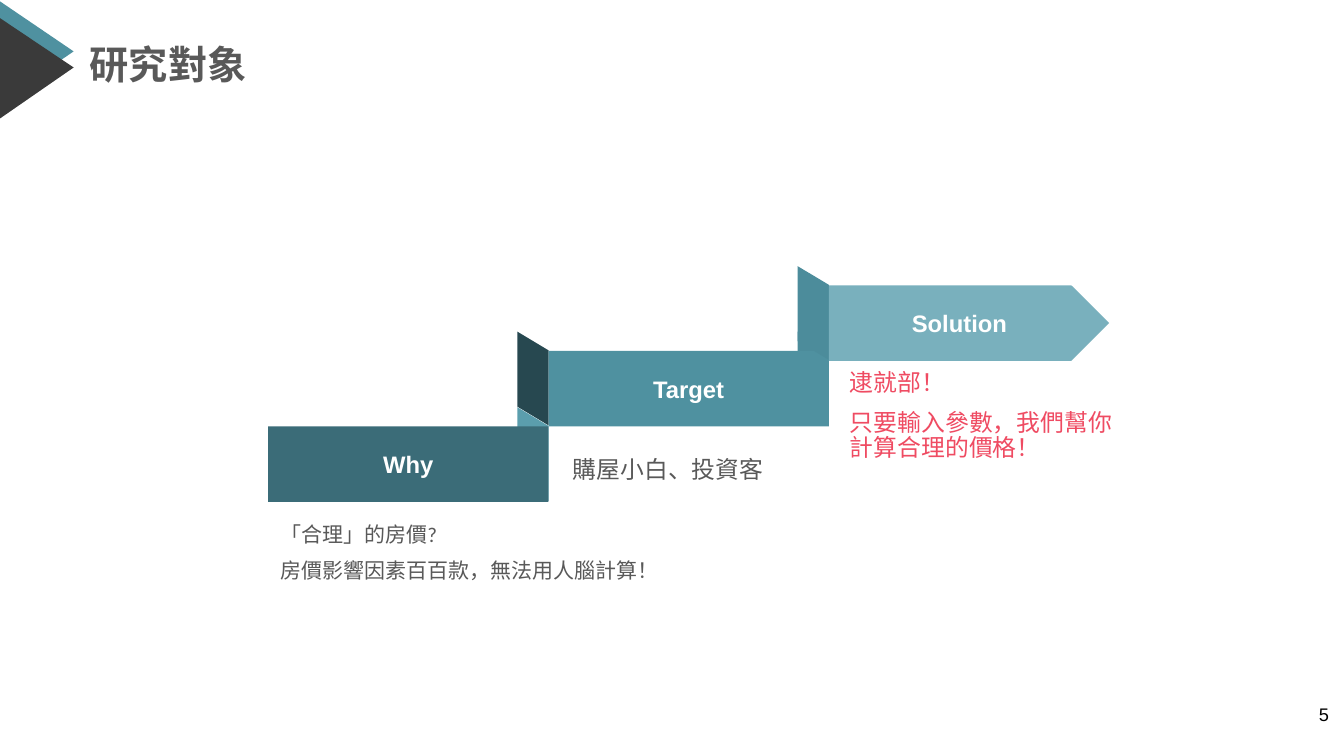
from dataclasses import dataclass

from pptx import Presentation
from pptx import util as u
from pptx.dml.color import RGBColor
from pptx.enum import shapes, text

PX = 9144


@dataclass(frozen=True)
class Theme:
    """Colours, fonts and type sizes of the slide."""
    teal: str = "4F91A0"
    charcoal: str = "3A3A3A"
    ink: str = "595959"
    alert: str = "EF4B62"
    white: str = "FFFFFF"
    black: str = "000000"
    why: str = "3B6C78"
    why_fold: str = "5B9EAD"
    target_front: str = "274850"
    target_fold: str = "4C8C9B"
    solution: str = "79B0BD"
    head_font: str = "Arial"
    body_font: str = "Calibri"
    title: int = 28
    label: int = 17
    note: int = 15
    number: int = 13


THEME = Theme()
RIBBON_W, RIBBON_H = 278, 75
FOLD_W, FOLD_H, FOLD_RISE = 31, 93, 19


def px(*values):
    """Turn pixel lengths into EMU."""
    return [u.Emu(v * PX) for v in values]


def paint(sp, color):
    """Give a shape a flat fill without line or shadow."""
    sp.shadow.inherit = False
    sp.fill.solid()
    sp.fill.fore_color.rgb = RGBColor.from_string(color)
    sp.line.fill.background()


def write(sp, *lines, size, color, font=THEME.head_font, bold=False,
          align=text.PP_ALIGN.LEFT, anchor=text.MSO_ANCHOR.TOP,
          spacing=1.0, before=0, insets=(10, 5)):
    """Write one paragraph per line into a shape."""
    tf = sp.text_frame
    tf.word_wrap = True
    tf.auto_size = text.MSO_AUTO_SIZE.NONE
    tf.vertical_anchor = anchor
    tf.margin_left = tf.margin_right = px(insets[0])[0]
    tf.margin_top = tf.margin_bottom = px(insets[1])[0]
    for i, line in enumerate(lines):
        p = tf.add_paragraph() if i else tf.paragraphs[0]
        p.alignment = align
        p.line_spacing = spacing
        p.space_before = u.Pt(before if i else 0)
        r = p.add_run()
        r.text = line
        r.font.name = font
        r.font.size = u.Pt(size)
        r.font.bold = bold
        r.font.color.rgb = RGBColor.from_string(color)


def add_corner(slide, points, color):
    """Draw one triangle of the corner ornament."""
    builder = slide.shapes.build_freeform(*points[0], scale=PX)
    builder.add_line_segments(points[1:], close=True)
    paint(builder.convert_to_shape(), color)


def add_fold(slide, right, ribbon_top, color):
    """Draw the upright fold whose right edge meets a ribbon end."""
    left = right - (FOLD_W + FOLD_H) / 2
    top = ribbon_top - FOLD_RISE + (FOLD_H - FOLD_W) / 2
    sp = slide.shapes.add_shape(shapes.MSO_SHAPE.FLOWCHART_DATA,
                                *px(int(left), int(top), FOLD_W * 3, FOLD_W))
    sp.rotation = 90
    paint(sp, color)


def add_ribbon(slide, label, left, top, color, kind=shapes.MSO_SHAPE.RECTANGLE):
    """Draw one labelled step of the ribbon."""
    sp = slide.shapes.add_shape(kind, *px(left, top, RIBBON_W, RIBBON_H))
    paint(sp, color)
    write(sp, label, size=THEME.label, color=THEME.white, bold=True,
          align=text.PP_ALIGN.CENTER, anchor=text.MSO_ANCHOR.MIDDLE)


def add_text(slide, box, *lines, **style):
    """Add a text box with the given lines."""
    write(slide.shapes.add_textbox(*px(*box)), *lines, **style)


def add_note(slide, box, *lines, size=THEME.label, color=THEME.ink):
    """Add the explanation of one step."""
    add_text(slide, box, *lines, size=size, color=color, font=THEME.body_font,
             spacing=0.9, before=10, insets=(13, 7))


def add_title(slide, title):
    """Place and format the title placeholder."""
    sp = slide.shapes.title
    sp.left, sp.top, sp.width, sp.height = px(89, 34, 528, 65)
    write(sp, title, size=THEME.title, color=THEME.ink, bold=True,
          anchor=text.MSO_ANCHOR.MIDDLE, spacing=0.9, insets=(0, 0))


def add_steps(slide):
    """Draw the three rising ribbons and their folds."""
    why, target, solution = [266 + RIBBON_W * i for i in range(3)]
    why_top, target_top, solution_top = 423, 348, 283
    add_fold(slide, solution, target_top, THEME.target_fold)
    add_fold(slide, target, target_top, THEME.target_front)
    add_ribbon(slide, "Target", target, target_top, THEME.teal)
    add_fold(slide, solution, solution_top, THEME.target_fold)
    add_ribbon(slide, "Solution", solution, solution_top, THEME.solution,
               shapes.MSO_SHAPE.PENTAGON)
    add_fold(slide, target, why_top, THEME.why_fold)
    add_ribbon(slide, "Why", why, why_top, THEME.why)


def main():
    """Build the slide and save it."""
    prs = Presentation()
    prs.slide_width, prs.slide_height = u.Inches(13.33), u.Inches(7.5)
    slide = prs.slides.add_slide(prs.slide_layouts[5])
    add_corner(slide, [(-6, 0), (-2, 0), (73, 51), (-6, 105)], THEME.teal)
    add_corner(slide, [(-6, 14), (73, 67), (-5, 121), (-6, 121)], THEME.charcoal)
    add_title(slide, "研究對象")
    add_note(slide, (265, 513, 469, 63), "「合理」的房價?",
             "房價影響因素百百款，無法用人腦計算！", size=THEME.note)
    add_note(slide, (555, 447, 275, 63), "購屋小白、投資客")
    add_note(slide, (830, 361, 294, 97), "逮就部！",
             "只要輸入參數，我們幫你計算合理的價格！", color=THEME.alert)
    add_steps(slide)
    add_text(slide, (1248, 693, 80, 57), "5", size=THEME.number,
             color=THEME.black, align=text.PP_ALIGN.RIGHT)
    prs.save("out.pptx")


if __name__ == "__main__":
    main()
